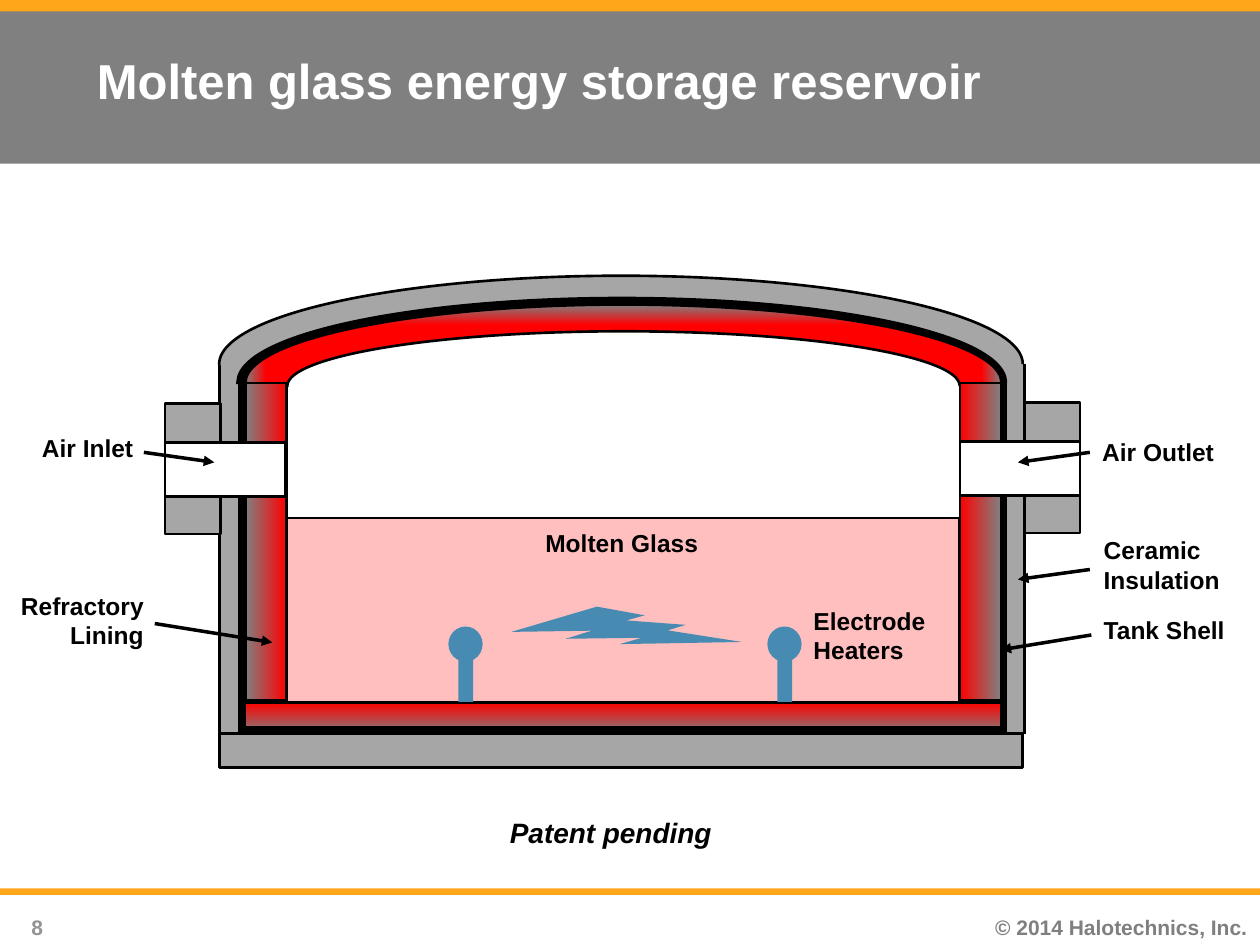
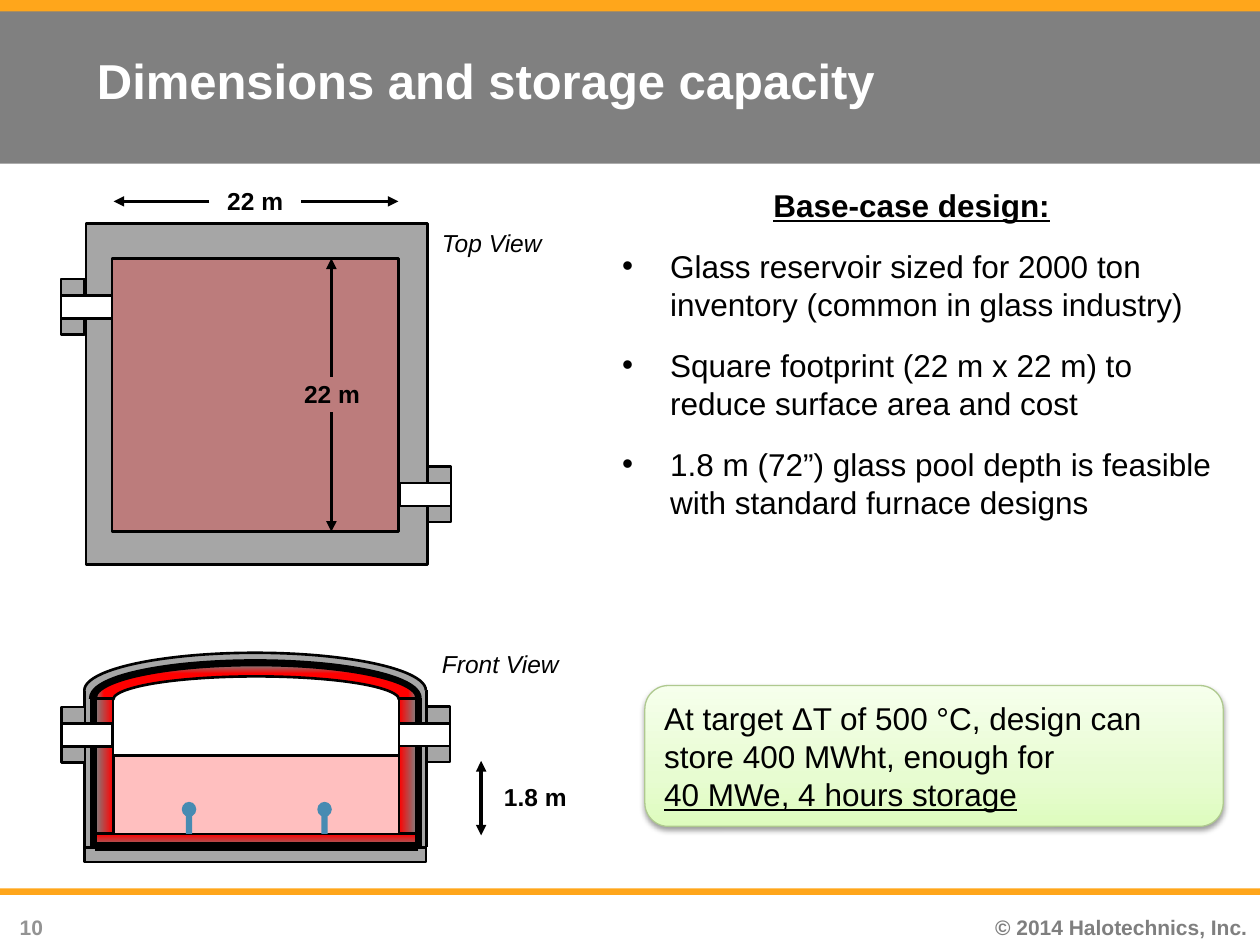
from dataclasses import dataclass
from pptx import Presentation
from pptx.dml.color import RGBColor as RGB
from pptx.enum.shapes import MSO_CONNECTOR as LINK, MSO_SHAPE as KIND
from pptx.enum.text import MSO_ANCHOR as ANCHOR, MSO_AUTO_SIZE as FIT, PP_ALIGN as ALIGN
from pptx.oxml import parse_xml
from pptx.oxml.ns import nsdecls, qn
from pptx.util import Cm, Pt


@dataclass(frozen=True)
class Theme:
    font: str = "Arial"
    black: str = "000000"
    white: str = "FFFFFF"
    band: str = "808080"
    amber: str = "FFA61B"
    shell: str = "A6A6A6"
    hot: str = "FF0000"
    spark: str = "478BB2"
    foot: str = "7F7F7F"
    page: str = "939393"
    leaf: str = "AFC98F"
    mint: tuple = ((0, "DEFCBE"), (35, "E7FCD1"), (100, "F6FFEC"))
    head: int = 28
    body: int = 18
    note: int = 16
    label: int = 14
    small: int = 12
    thin: float = 1.5
    arrow: float = 2
    steel: float = 5


T = Theme()
HEAT = ((0, T.hot), (100, T.band))
GLOW = ((74, T.hot), (100, T.band))
FULL = 16.2


@dataclass(frozen=True)
class Frame:
    slide: object
    x: float
    y: float
    k: float = 1

    def place(self, x, y, w, h):
        return (Cm(self.x + x * self.k), Cm(self.y + y * self.k),
                Cm(w * self.k), Cm(h * self.k))

    def point(self, x, y):
        return self.place(x, y, 0, 0)[:2]


def blend(part, stops, angle):
    marks = "".join(f'<a:gs pos="{pos * 1000}"><a:srgbClr val="{tone}"/></a:gs>'
                    for pos, tone in stops)
    if angle is None:
        way = ('<a:path path="shape"><a:fillToRect l="50000" t="50000" '
               'r="50000" b="50000"/></a:path>')
    else:
        way = f'<a:lin ang="{angle * 60000}" scaled="0"/>'
    part.fill.background()
    props = part._element.spPr
    grad = parse_xml(f'<a:gradFill {nsdecls("a")} rotWithShape="1">'
                     f'<a:gsLst>{marks}</a:gsLst>{way}</a:gradFill>')
    props.replace(props.find(qn("a:noFill")), grad)


def draw(frame, kind, box, fill, line=T.black, width=T.thin, angle=None, alpha=None):
    part = frame.slide.shapes.add_shape(kind, *frame.place(*box))
    part.shadow.inherit = False
    if isinstance(fill, str):
        part.fill.solid()
        part.fill.fore_color.rgb = RGB.from_string(fill)
    else:
        blend(part, fill, angle)
    if alpha:
        tone = part._element.spPr.find(qn("a:solidFill"))[0]
        tone.append(parse_xml(f'<a:alpha {nsdecls("a")} val="{alpha * 1000}"/>'))
    if line:
        part.line.color.rgb = RGB.from_string(line)
        part.line.width = Pt(width)
    else:
        part.line.fill.background()
    return part


def rect(frame, box, fill, **form):
    return draw(frame, KIND.RECTANGLE, box, fill, **form)


def link(frame, start, end, width=T.arrow, tips=("tailEnd",)):
    line = frame.slide.shapes.add_connector(
        LINK.STRAIGHT, *frame.point(*start), *frame.point(*end))
    line.line.color.rgb = RGB.from_string(T.black)
    line.line.width = Pt(width)
    props = line._element.spPr
    for tip in tips:
        props.find(qn("a:ln")).append(
            parse_xml(f'<a:{tip} {nsdecls("a")} type="triangle"/>'))
    props.append(parse_xml(f'<a:effectLst {nsdecls("a")}/>'))


def write(body, *words, size=T.label, tone=T.black, bold=False, slant=False,
          under=False, align=ALIGN.LEFT, anchor=ANCHOR.TOP, wrap=True,
          gap=0, bullet=False):
    body.word_wrap = wrap
    body.auto_size = FIT.NONE
    body.vertical_anchor = anchor
    for i, word in enumerate(words):
        para = body.add_paragraph() if i else body.paragraphs[0]
        para.alignment = align
        if bullet:
            props = para._p.get_or_add_pPr()
            props.set("marL", str(int(Cm(0.97))))
            props.set("indent", str(int(Cm(-0.97))))
            props.append(parse_xml(f'<a:buFont {nsdecls("a")} typeface="{T.font}"/>'))
            props.append(parse_xml(f'<a:buChar {nsdecls("a")} char="•"/>'))
        if i and gap:
            para.space_before = Pt(gap)
        run = para.add_run()
        run.text = word
        font = run.font
        font.name, font.size = T.font, Pt(size)
        font.bold, font.italic, font.underline = bold, slant, under
        font.color.rgb = RGB.from_string(tone)


def text(frame, box, *words, **form):
    part = frame.slide.shapes.add_textbox(*frame.place(*box))
    write(part.text_frame, *words, **form)


def base(deck, title, page):
    slide = deck.slides.add_slide(deck.slide_layouts[5])
    frame = Frame(slide, 0, 0)
    for top, high, tone in ((0, 3.3, T.band), (17.91, 0.13, T.amber), (0, 0.23, T.amber)):
        rect(frame, (0, top, 25.4, high), tone, line=None)
    for left, wide, word, tone in ((19.08, 6.32, "© 2014 Halotechnics, Inc.", T.foot),
                                   (0, 1.12, page, T.page)):
        text(frame, (left, 18.31, wide, 0.7), word, size=T.small, tone=tone,
             bold=True, align=ALIGN.RIGHT)
    head = slide.shapes.title
    head.left, head.top, head.width, head.height = frame.place(1.7, -0.05, 22.86, 3.33)
    write(head.text_frame, title, size=T.head, tone=T.white, bold=True, anchor=ANCHOR.MIDDLE)
    tree = head._element.getparent()
    tree.append(head._element)
    return slide


def port(frame, x, y, right=False):
    wide, duct = 1.12, 2.42
    rect(frame, (x, y, wide, 2.64), T.shell)
    rect(frame, (x + wide - duct if right else x, y + 0.79, duct, 1.09), T.white)


def tank(frame):
    for wall, edge, steel in ((0, 0, 0.46), (15.52, 16.23, 15.8)):
        rect(frame, (wall, 1.78, 0.68, 7.44), T.shell, line=T.shell)
        link(frame, (edge, 9.23), (edge, 1.78), T.thin, ())
        link(frame, (steel, 9.23), (steel, 2.15), T.steel, ())
    rect(frame, (0.52, 8.6, 15.24, 0.64), HEAT, angle=90)
    rect(frame, (0, 9.23, FULL, 0.69), T.shell)
    for box, fill, width in (((0, 0, FULL, 3.56), T.shell, T.thin),
                             ((0.43, 0.51, 15.37, 3.3), T.white, T.steel),
                             ((0.53, 0.58, 15.24, 3.15), GLOW, T.thin),
                             ((1.37, 1.12, 13.56, 2.21), T.white, T.thin)):
        arc = draw(frame, KIND.ARC, box, fill, width=width)
        arc.adjustments[0], arc.adjustments[1] = 107.9, 0
    for left, angle in ((0.53, 180), (14.93, 0)):
        rect(frame, (left, 2.16, 0.83, 6.4), HEAT, angle=angle)
    rect(frame, (1.37, 4.88, 13.56, 3.71), T.hot, alpha=25)
    for left in (4.62, 11.05):
        rect(frame, (left + 0.2, 7.62, 0.3, 0.97), T.spark, line=None)
        draw(frame, KIND.OVAL, (left, 7.07, 0.69, 0.71), T.spark, line=None)
    link(frame, (15.85, 9.17), (0.51, 9.17), T.steel, ())
    port(frame, 16.23, 2.55, right=True)
    port(frame, -1.09, 2.57)


def label(frame):
    bolt = draw(frame, KIND.LIGHTNING_BOLT, (5.92, 6.58, 4.55, 1.19), T.spark, line=None)
    bolt.rotation = 350.4
    for x, y, wide, word, align in (
            (17.58, 6.71, 3.3, "Tank Shell", ALIGN.LEFT),
            (-4.42, 6.23, 3.15, "Refractory Lining", ALIGN.RIGHT),
            (17.58, 5.11, 3.3, "Ceramic Insulation", ALIGN.LEFT),
            (6.17, 4.96, 3.89, "Molten Glass", ALIGN.CENTER),
            (11.73, 6.53, 2.9, "Electrode Heaters", ALIGN.LEFT),
            (17.55, 3.13, 3.23, "Air Outlet", ALIGN.LEFT),
            (-3.89, 3.05, 2.41, "Air Inlet", ALIGN.RIGHT)):
        text(frame, (x, y, wide, 0.86), word, bold=True, align=align)
    for start, end in (((17.58, 7.24), (15.75, 7.54)), ((-1.3, 7.01), (1.07, 7.39)),
                       ((17.55, 5.92), (16.1, 6.12)), ((17.55, 3.56), (16.1, 3.76)),
                       ((-1.52, 3.56), (-0.1, 3.76))):
        link(frame, start, end)
    text(frame, (5.61, 10.75, 4.62, 0.94), "Patent pending", size=T.note,
         bold=True, slant=True, wrap=False)


def plan(frame):
    rect(frame, (0, 0, FULL, FULL), T.shell)
    rect(frame, (1.25, 1.67, 13.58, 12.97), T.hot, alpha=25)
    port(frame, FULL, 11.54, right=True)
    port(frame, -1.18, 2.64)


def top_size(frame):
    for x, y in ((4.04, 3.02), (2.49, -0.87)):
        text(frame, (x, y, 1.85, 0.86), "22 m", bold=True, align=ALIGN.CENTER)
    for start, end in (((4.95, 3.09), (4.95, 0.71)), ((4.95, 3.81), (4.95, 6.22)),
                       ((2.49, -0.44), (0.56, -0.44)), ((4.34, -0.44), (6.3, -0.44))):
        link(frame, start, end)
    text(frame, (6.93, -0.03, 2.54, 0.86), "Top View", slant=True, wrap=False)


def front_size(frame):
    text(frame, (8.21, 2.49, 1.85, 0.86), "1.8 m", bold=True)
    link(frame, (8, 3.68), (8, 2.18), tips=("headEnd", "tailEnd"))
    text(frame, (6.96, -0.2, 2.87, 0.86), "Front View", slant=True, wrap=False)


def design(frame):
    text(frame, (3.05, 0, 6.15, 1.02), "Base-case design:", size=T.body,
         bold=True, under=True, wrap=False)
    text(frame, (0, 1.22, 12.8, 8),
         "Glass reservoir sized for 2000 ton inventory (common in glass industry)",
         "Square footprint (22 m x 22 m) to reduce surface area and cost",
         "1.8 m (72”) glass pool depth is feasible with standard furnace designs",
         size=T.body, gap=13.5, bullet=True)
    card = draw(frame, KIND.ROUNDED_RECTANGLE, (0.71, 10.19, 11.66, 2.84), T.mint,
                line=T.leaf, width=0.75, angle=270)
    card._element.spPr.find(qn("a:effectLst")).append(parse_xml(
        f'<a:outerShdw {nsdecls("a")} blurRad="40000" dist="20000" dir="5400000" '
        f'rotWithShape="0"><a:srgbClr val="{T.black}"><a:alpha val="38000"/>'
        '</a:srgbClr></a:outerShdw>'))
    write(card.text_frame, "At target ΔT of 500 °C, design can store 400 MWht, enough for",
          "40 MWe, 4 hours storage", size=T.body, anchor=ANCHOR.MIDDLE)
    card.text_frame.paragraphs[-1].runs[0].font.underline = True


def main():
    deck = Presentation()
    deck.slide_width, deck.slide_height = Cm(25.4), Cm(19.05)

    slide = base(deck, "Molten glass energy storage reservoir", "8")
    frame = Frame(slide, 4.42, 5.56)
    tank(frame)
    label(frame)

    slide = base(deck, "Dimensions and storage capacity", "10")
    tank(Frame(slide, 1.7, 13.16, 0.425))
    plan(Frame(slide, 1.73, 4.5, 0.425))
    top_size(Frame(slide, 1.73, 4.5))
    front_size(Frame(slide, 1.7, 13.16))
    design(Frame(slide, 12.29, 3.63))

    deck.save("out.pptx")


if __name__ == "__main__":
    main()
